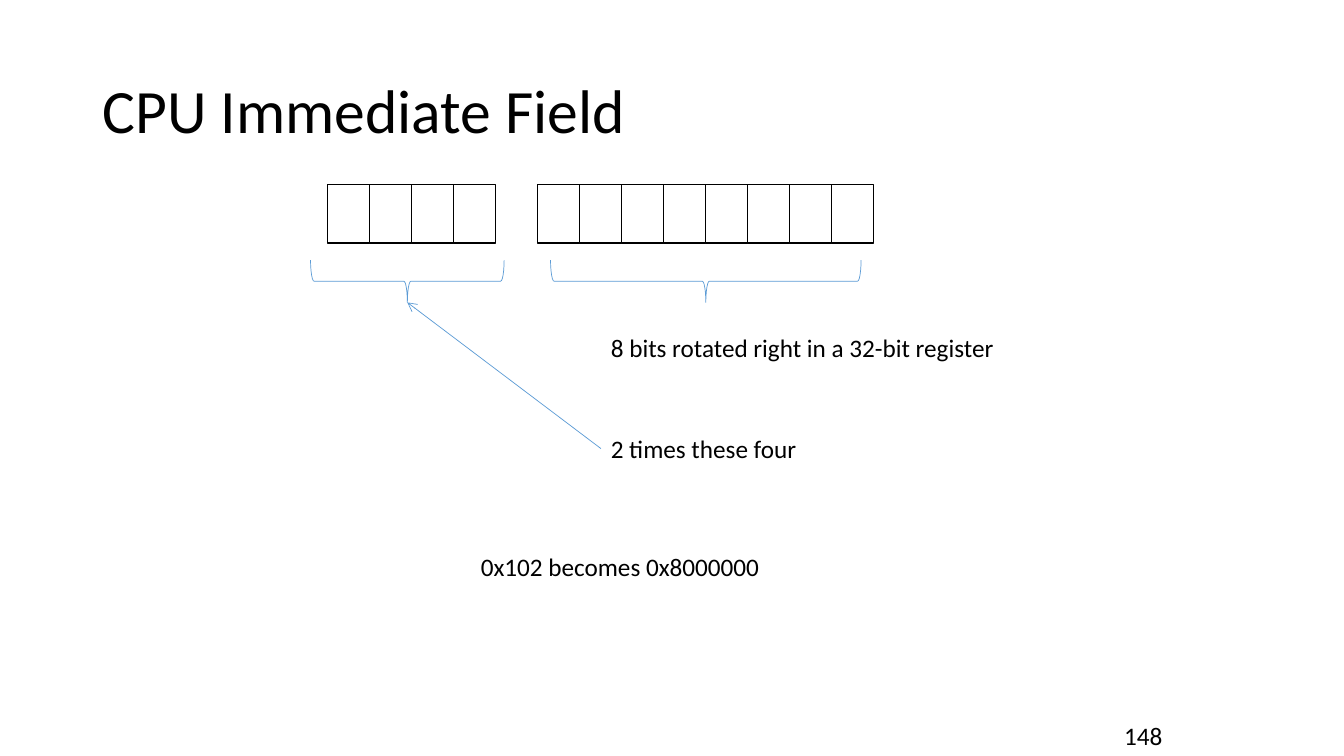
"""Build the slide that explains the immediate field of an instruction."""
from dataclasses import dataclass

from lxml import etree
from pptx import Presentation
from pptx.dml.color import RGBColor
from pptx.enum.shapes import MSO_CONNECTOR, MSO_SHAPE
from pptx.enum.text import MSO_ANCHOR, MSO_AUTO_SIZE
from pptx.oxml.ns import qn
from pptx.util import Inches, Pt

RECTANGLE = MSO_SHAPE.RECTANGLE
BRACE = MSO_SHAPE.RIGHT_BRACE
STRAIGHT = MSO_CONNECTOR.STRAIGHT
MIDDLE = MSO_ANCHOR.MIDDLE
GROW = MSO_AUTO_SIZE.SHAPE_TO_FIT_TEXT
LEFT_SIDE = 1
BLANK_LAYOUT = 6


@dataclass(frozen=True)
class Theme:
    """Colours, font, type sizes and line widths of the slide."""
    ink: RGBColor = RGBColor(0x00, 0x00, 0x00)
    accent: RGBColor = RGBColor(0x5B, 0x9B, 0xD5)
    font: str = "Calibri"
    title_size: int = 44
    label_size: int = 18
    cell_line: float = 1
    thin_line: float = 0.5


THEME = Theme()
BIT_WIDTH = 5 / 12
BIT_HEIGHT = 0.58
BITS_TOP = 1.83
BRACE_TOP = 2.58
BRACE_DEPTH = 0.42


def apply_format(target, values):
    """Set every attribute named in values on the target."""
    for name, value in values.items():
        setattr(target, name, value)


def style_line(line, color, width):
    """Give a line its colour and width."""
    line.color.rgb = color
    line.width = Pt(width)


def add_text(page, text, area, size, frame_format, spacing=None):
    """Add a text box with one paragraph and return it."""
    box = page.shapes.add_textbox(*map(Inches, area))
    apply_format(box.text_frame, frame_format)
    para = box.text_frame.paragraphs[0]
    para.line_spacing = spacing
    span = para.add_run()
    apply_format(span, {"text": text})
    apply_format(span.font, {"size": Pt(size), "name": THEME.font})
    span.font.color.rgb = THEME.ink
    return box


def add_label(page, text, left, top, width):
    """Add a one-line label that grows with its text."""
    frame_format = {"word_wrap": False, "auto_size": GROW}
    return add_text(page, text, (left, top, width, 0.4), THEME.label_size, frame_format)


def add_outline(page, kind, area, color, width):
    """Add an unfilled, unshadowed preset shape and return it."""
    shape = page.shapes.add_shape(kind, *map(Inches, area))
    shape.shadow.inherit = False
    shape.fill.background()
    style_line(shape.line, color, width)
    return shape


def add_bits(page, left, count):
    """Add a row of adjoining bit cells."""
    for index in range(count):
        area = (left + index * BIT_WIDTH, BITS_TOP, BIT_WIDTH, BIT_HEIGHT)
        add_outline(page, RECTANGLE, area, THEME.ink, THEME.cell_line)


def add_brace(page, center, span_width):
    """Add a brace that opens upward around the given centre."""
    left = center - BRACE_DEPTH / 2
    top = BRACE_TOP + (BRACE_DEPTH - span_width) / 2
    area = (left, top, BRACE_DEPTH, span_width)
    brace = add_outline(page, BRACE, area, THEME.accent, THEME.thin_line)
    brace.rotation = 90


def add_arrow(page, label, tip):
    """Add an arrow from the left side of a label to the tip."""
    arrow = page.shapes.add_connector(STRAIGHT, 0, 0, *map(Inches, tip))
    arrow.begin_connect(label, LEFT_SIDE)
    style_line(arrow.line, THEME.accent, THEME.thin_line)
    properties = arrow.element.spPr
    etree.SubElement(properties.find(qn("a:ln")), qn("a:tailEnd"), type="arrow")
    etree.SubElement(properties, qn("a:effectLst"))


def main():
    """Build and save the deck."""
    deck = Presentation()
    apply_format(deck, {"slide_width": Inches(13.33), "slide_height": Inches(7.5)})
    page = deck.slides.add_slide(deck.slide_layouts[BLANK_LAYOUT])

    title_format = {"word_wrap": True, "vertical_anchor": MIDDLE}
    add_text(page, "CPU Immediate Field", (0.92, 0.4, 11.5, 1.45),
             THEME.title_size, title_format, 0.9)
    for left, count in ((3.25, 4), (5.33, 8)):
        add_bits(page, left, count)
    for center, span_width in ((4.04, 1.92), (7, 3.08)):
        add_brace(page, center, span_width)

    add_label(page, "8 bits rotated right in a 32-bit register", 5.96, 3.25, 4.02)
    rotation_label = add_label(page, "2 times these four", 5.96, 4.25, 2.07)
    add_arrow(page, rotation_label, (4.04, 3))
    add_label(page, "0x102 becomes 0x8000000", 4.67, 5.42, 2.99)
    add_label(page, "148", 11.05, 7.1, 0.59)
    deck.save("out.pptx")


if __name__ == "__main__":
    main()
